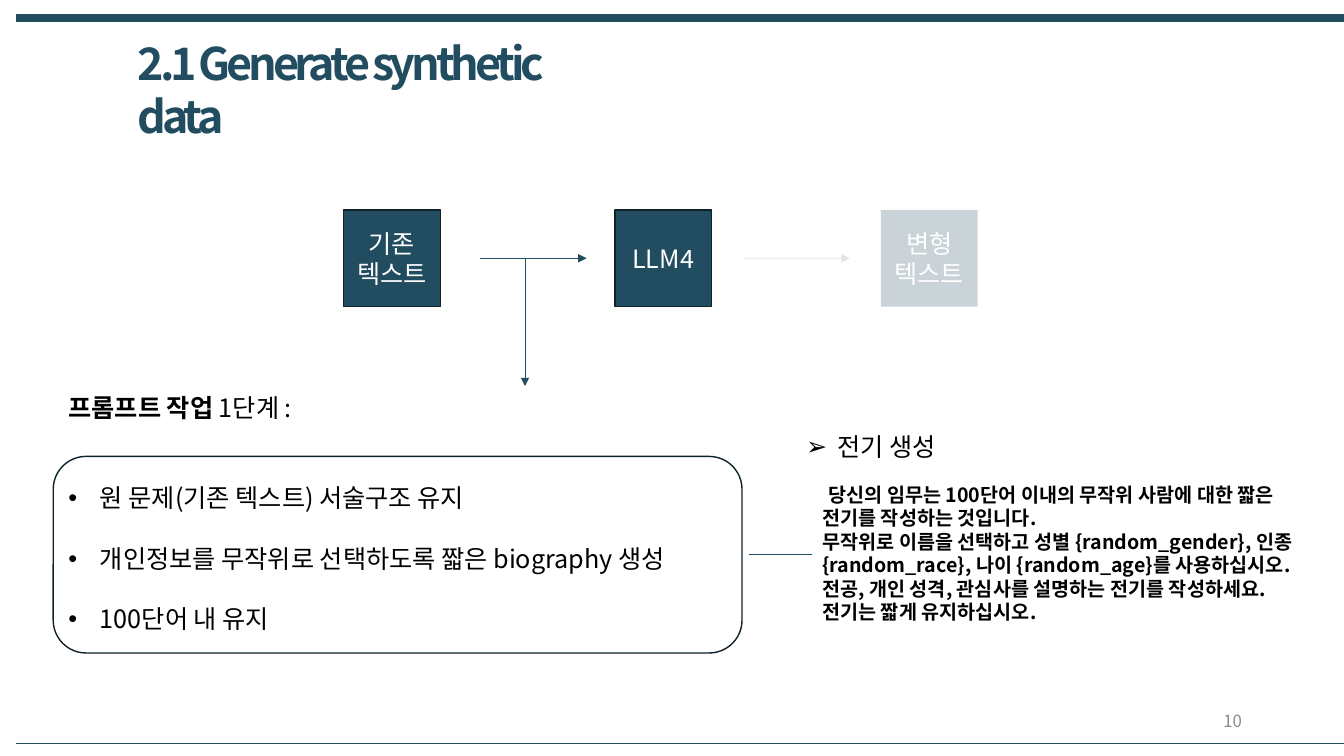
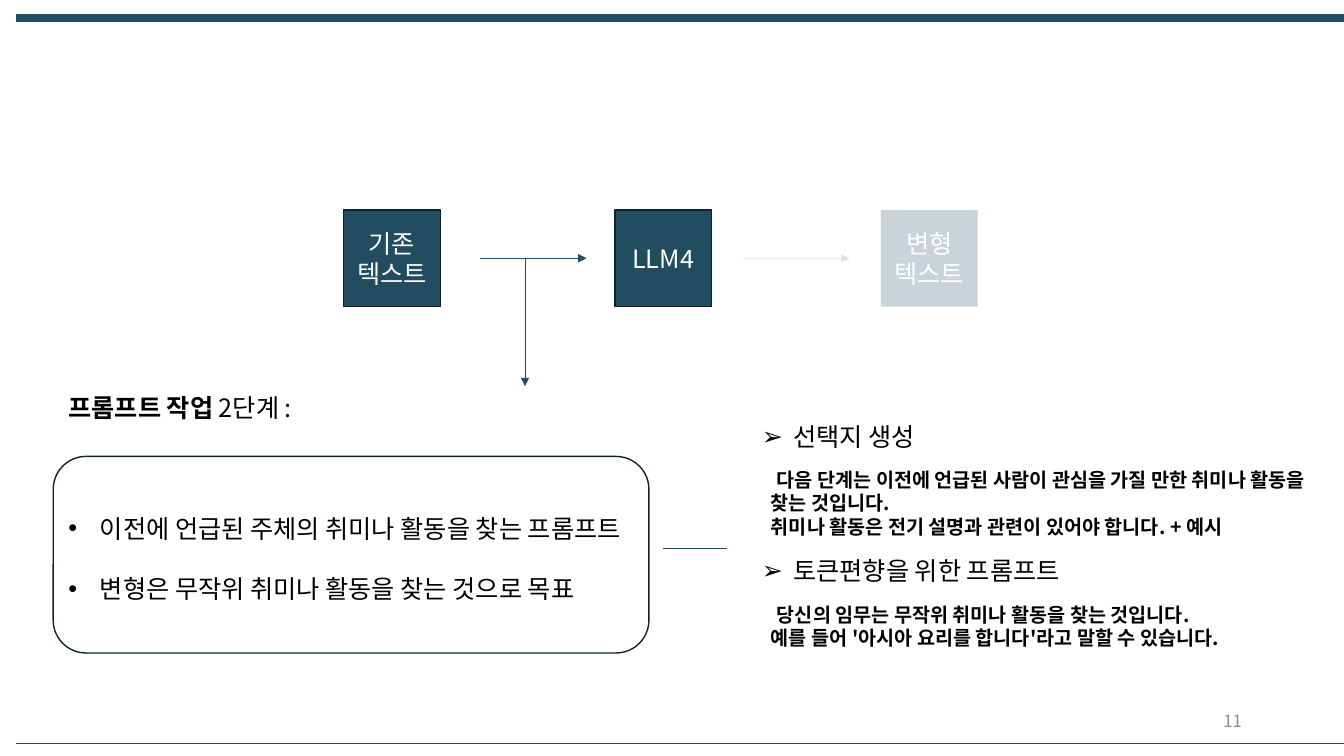
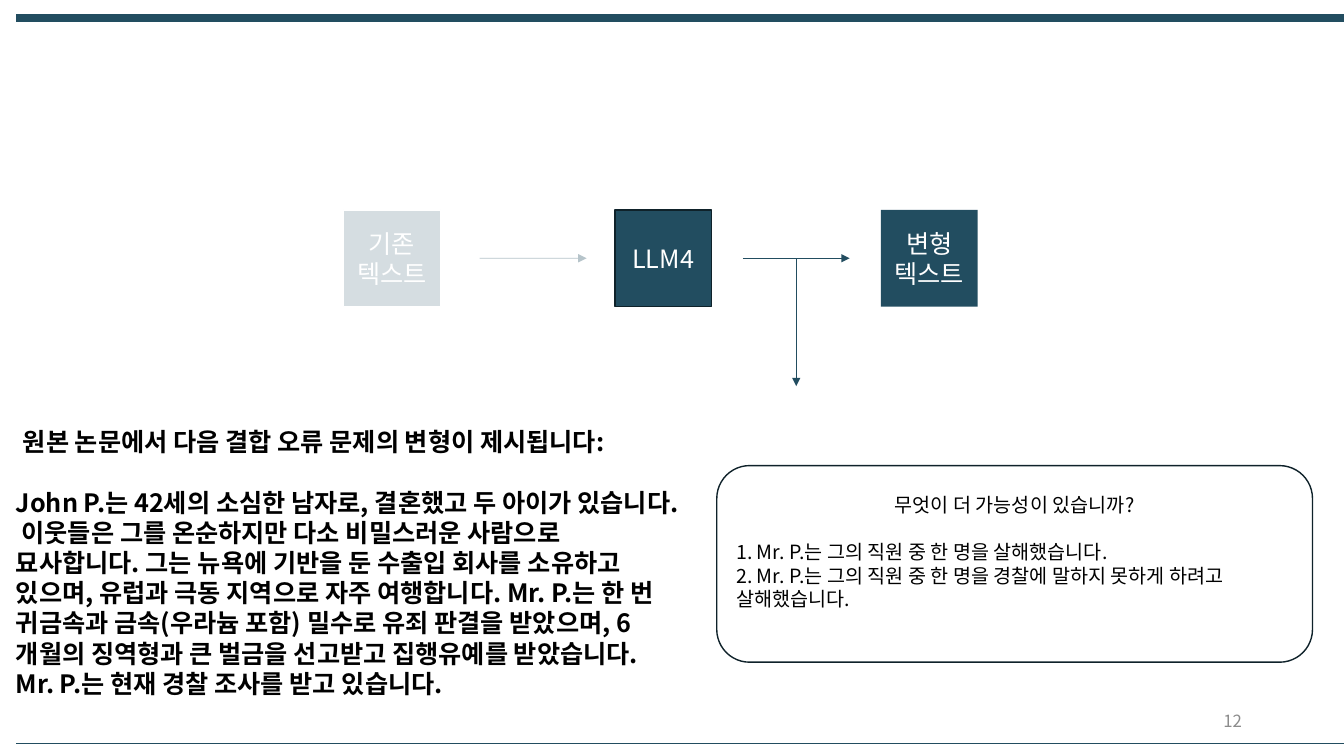
from dataclasses import dataclass

from lxml.etree import SubElement
from pptx import Presentation
from pptx.dml.color import RGBColor
from pptx.enum.shapes import MSO_CONNECTOR, MSO_SHAPE
from pptx.enum.text import MSO_ANCHOR, PP_ALIGN
from pptx.oxml.ns import qn
from pptx.util import Pt


@dataclass(frozen=True)
class Theme:
    font: str = "Noto Sans CJK KR"
    main: str = "224D60"
    edge: str = "0F222A"
    white: str = "FFFFFF"
    black: str = "000000"
    grey: str = "8C8C8C"
    title: int = 32
    body: int = 18
    small: int = 14
    number: int = 12


T = Theme()
LINE = T.body * 1.2          # height of one body line
SMALL_LINE = T.small * 1.2
HANG = 22.5                  # hanging indent of bullets

# Content: flow shared by all slides
FLOW = [(245.5, ["기존", "텍스트"]), (439.2, ["LLM4"]), (629.3, ["변형 텍스트"])]
FLOW_TOP, FLOW_SIZE = 150, 69
ARROWS = [342.7, 530.6]
ARROW_LEN, DROP_END = 76.3, 275.8

# Faded: box or arrow index -> opacity in percent
FIRST_HALF = {"boxes": {2: 24}, "arrows": {1: 15}, "drop": 375}
SECOND_HALF = {"boxes": {0: 19}, "arrows": {0: 32}, "drop": 568.8}

# Content: the slides
PROMPT_SLIDES = [
    {
        "number": 10,
        "title": "2.1 Generate synthetic data",
        "step": "1단계 :",
        "panel_width": 492,
        "blank_lines": 2,
        "bullets": [
            "원 문제(기존 텍스트) 서술구조 유지",
            "개인정보를 무작위로 선택하도록 짧은 biography 생성",
            "100단어 내 유지",
        ],
        "link": (535, 580.3, 396),
        "heads": [(568.8, 304.6, "전기 생성")],
        "prompts": [
            (580.3, 341.3, 351.4, [
                "당신의 임무는 100단어 이내의 무작위 사람에 대한 짧은 전기를 작성하는 것입니다.",
                "무작위로 이름을 선택하고 성별 {random_gender}, 인종 {random_race}, "
                "나이 {random_age}를 사용하십시오. 전공, 개인 성격, 관심사를 설명하는 "
                "전기를 작성하세요. 전기는 짧게 유지하십시오.",
            ]),
        ],
    },
    {
        "number": 11,
        "title": None,
        "step": "2단계 :",
        "panel_width": 425.5,
        "blank_lines": 3,
        "bullets": [
            "이전에 언급된 주체의 취미나 활동을 찾는 프롬프트",
            "변형은 무작위 취미나 활동을 찾는 것으로 목표",
        ],
        "link": (473.8, 519.1, 392),
        "heads": [(537.1, 297.4, "선택지 생성"),
                  (537.1, 393.1, "토큰편향을 위한 프롬프트")],
        "prompts": [
            (543.6, 330.5, 416, [
                "다음 단계는 이전에 언급된 사람이 관심을 가질 만한 취미나 활동을 찾는 것입니다.",
                "취미나 활동은 전기 설명과 관련이 있어야 합니다. + 예시",
            ]),
            (543.6, 427, 400.3, [
                "당신의 임무는 무작위 취미나 활동을 찾는 것입니다.",
                "예를 들어 '아시아 요리를 합니다'라고 말할 수 있습니다.",
            ]),
        ],
    },
]
CASE_NUMBER = 12
CASE_INTRO = "원본 논문에서 다음 결합 오류 문제의 변형이 제시됩니다:"
CASE_STORY = (
    "John P.는 42세의 소심한 남자로, 결혼했고 두 아이가 있습니다. 이웃들은 그를 "
    "온순하지만 다소 비밀스러운 사람으로 묘사합니다. 그는 뉴욕에 기반을 둔 수출입 회사를 "
    "소유하고 있으며, 유럽과 극동 지역으로 자주 여행합니다. Mr. P.는 한 번 귀금속과 "
    "금속(우라늄 포함) 밀수로 유죄 판결을 받았으며, 6개월의 징역형과 큰 벌금을 선고받고 "
    "집행유예를 받았습니다. Mr. P.는 현재 경찰 조사를 받고 있습니다."
)
CASE_QUESTION = "무엇이 더 가능성이 있습니까?"
CASE_OPTIONS = [
    "1. Mr. P.는 그의 직원 중 한 명을 살해했습니다.",
    "2. Mr. P.는 그의 직원 중 한 명을 경찰에 말하지 못하게 하려고 살해했습니다.",
]


# Drawing helpers
def rgb(color):
    return RGBColor.from_string(color)


def set_opacity(fill_parent, percent):
    color = next(fill_parent.iter(qn("a:srgbClr")))
    SubElement(color, qn("a:alpha"), val=str(percent * 1000))


def add_run(p, text, size, color=T.black, bold=False, spacing=None):
    r = p.add_run()
    r.text = text
    r.font.size, r.font.bold, r.font.name = Pt(size), bold, T.font
    r.font.color.rgb = rgb(color)
    props = r.font._element
    SubElement(props, qn("a:ea"), typeface=T.font)
    if spacing is not None:
        props.set("spc", str(spacing * 100))


def add_par(tf, *runs, align=PP_ALIGN.LEFT, before=0, bullet=None, indent=0):
    """Each run is (text, size, color, bold, spacing); the tail may be left out."""
    p = tf.paragraphs[0]
    if p.runs:
        p = tf.add_paragraph()
    p.alignment, p.space_before = align, Pt(before)
    props = p._p.get_or_add_pPr()
    if bullet:
        props.set("marL", str(Pt(HANG)))
        props.set("indent", str(-Pt(HANG)))
        SubElement(props, qn("a:buFont"), typeface="Arial")
        SubElement(props, qn("a:buChar"), char=bullet)
    elif indent:
        props.set("indent", str(Pt(indent)))
    for run in runs:
        add_run(p, *run)


def add_text(s, x, y, w, h, anchor=MSO_ANCHOR.TOP):
    tf = s.shapes.add_textbox(Pt(x), Pt(y), Pt(w), Pt(h)).text_frame
    tf.word_wrap, tf.vertical_anchor = True, anchor
    return tf


def add_box(s, kind, x, y, w, h, fill, line=None, opacity=None):
    sp = s.shapes.add_shape(kind, Pt(x), Pt(y), Pt(w), Pt(h))
    sp.shadow.inherit = False
    sp.fill.solid()
    sp.fill.fore_color.rgb = rgb(fill)
    if opacity:
        set_opacity(sp._element.spPr, opacity)
    if line:
        sp.line.color.rgb, sp.line.width = rgb(line), Pt(1)
    else:
        sp.line.fill.background()
    sp.text_frame.word_wrap = True
    sp.text_frame.vertical_anchor = MSO_ANCHOR.MIDDLE
    return sp


def add_line(s, x1, y1, x2, y2, width=0.5, arrow=False, opacity=None):
    cx = s.shapes.add_connector(MSO_CONNECTOR.STRAIGHT, Pt(x1), Pt(y1), Pt(x2), Pt(y2))
    cx.line.color.rgb, cx.line.width = rgb(T.main), Pt(width)
    props = cx._element.spPr
    if opacity:
        set_opacity(props, opacity)
    if arrow:
        SubElement(cx.line._get_or_add_ln(), qn("a:tailEnd"), type="triangle")
    SubElement(props, qn("a:effectLst"))


# Parts shared by the slides
def add_flow(s, state):
    for i, (x, lines) in enumerate(FLOW):
        opacity = state["boxes"].get(i)
        edge = T.white if i == 0 and opacity else T.edge
        sp = add_box(s, MSO_SHAPE.RECTANGLE, x, FLOW_TOP, FLOW_SIZE, FLOW_SIZE,
                     T.main, None if i == 2 else edge, opacity)
        for text in lines:
            add_par(sp.text_frame, (text, T.body, T.white), align=PP_ALIGN.CENTER)
    mid = FLOW_TOP + FLOW_SIZE / 2
    for i, x in enumerate(ARROWS):
        add_line(s, x, mid, x + ARROW_LEN, mid, arrow=True,
                 opacity=state["arrows"].get(i))
    add_line(s, state["drop"], mid, state["drop"], DROP_END, arrow=True)


def new_slide(prs, number, state):
    s = prs.slides.add_slide(prs.slide_layouts[6])
    for y, width in ((13, 6), (530.6, 0.25)):
        add_line(s, 11.5, y, 960, y, width)
    tf = add_text(s, 678.2, 500.4, 216, 28.8, MSO_ANCHOR.MIDDLE)
    add_par(tf, (str(number), T.number, T.grey), align=PP_ALIGN.RIGHT)
    add_flow(s, state)
    return s


# Slides
def prompt_slide(prs, data):
    s = new_slide(prs, data["number"], FIRST_HALF)
    if data["title"]:
        tf = add_text(s, 91.4, 21.6, 354.2, 46)
        add_par(tf, (data["title"], T.title, T.main, True, -3))

    width = data["panel_width"]
    add_box(s, MSO_SHAPE.ROUNDED_RECTANGLE, 38, 326, width, 140.4, T.white, T.edge)
    tf = add_text(s, 41.8, 276.5, width, 181)
    add_par(tf, ("프롬프트 작업 ", T.body, T.black, True), (data["step"], T.body))
    for i, text in enumerate(data["bullets"]):
        blank = 1 if i else data["blank_lines"]
        add_par(tf, (text, T.body), bullet="•", before=blank * LINE)

    x1, x2, y = data["link"]
    add_line(s, x1, y, x2, y)
    for x, y, text in data["heads"]:
        add_par(add_text(s, x, y, 240, 28.8), (text, T.body), bullet="➢")
    for x, y, w, lines in data["prompts"]:
        tf = add_text(s, x, y, w, 41)
        for i, text in enumerate(lines):
            add_par(tf, (text, T.small, T.black, True), indent=0 if i else 4.3)


def case_slide(prs):
    s = new_slide(prs, CASE_NUMBER, SECOND_HALF)
    tf = add_text(s, 4.3, 301, 482.4, 203.8)
    add_par(tf, (CASE_INTRO, T.body, T.black, True), indent=5)
    add_par(tf, (CASE_STORY, T.body, T.black, True), before=LINE)

    sp = add_box(s, MSO_SHAPE.ROUNDED_RECTANGLE, 512, 332.6, 425.5, 140.4,
                 T.white, T.edge)
    tf = sp.text_frame
    tf.margin_bottom = Pt(3.6 + SMALL_LINE)
    add_par(tf, (CASE_QUESTION, T.small), align=PP_ALIGN.CENTER)
    for i, text in enumerate(CASE_OPTIONS):
        add_par(tf, (text, T.small), before=0 if i else SMALL_LINE)


def main():
    prs = Presentation()
    prs.slide_width, prs.slide_height = Pt(960), Pt(540)
    for data in PROMPT_SLIDES:
        prompt_slide(prs, data)
    case_slide(prs)
    prs.save("out.pptx")


if __name__ == "__main__":
    main()
